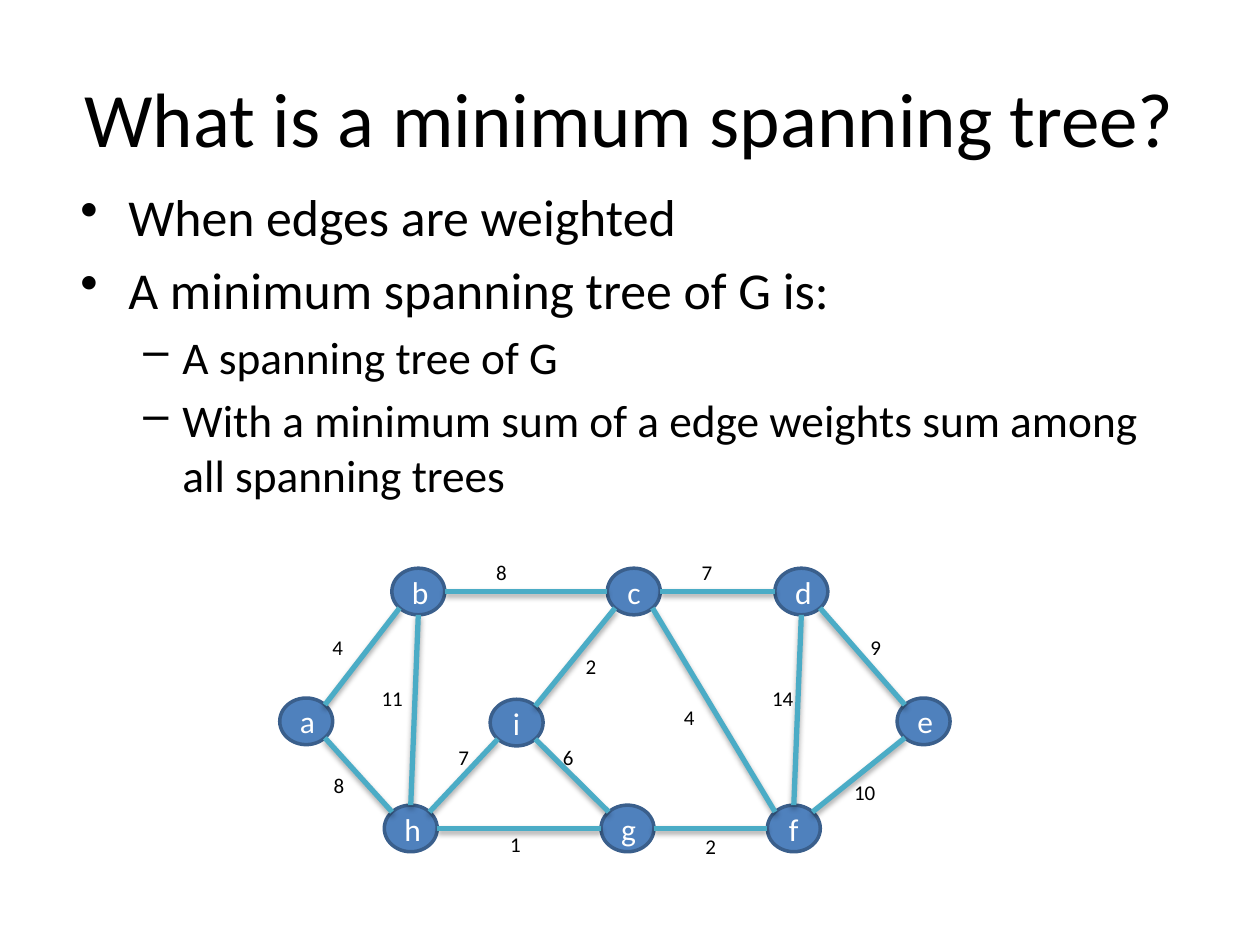
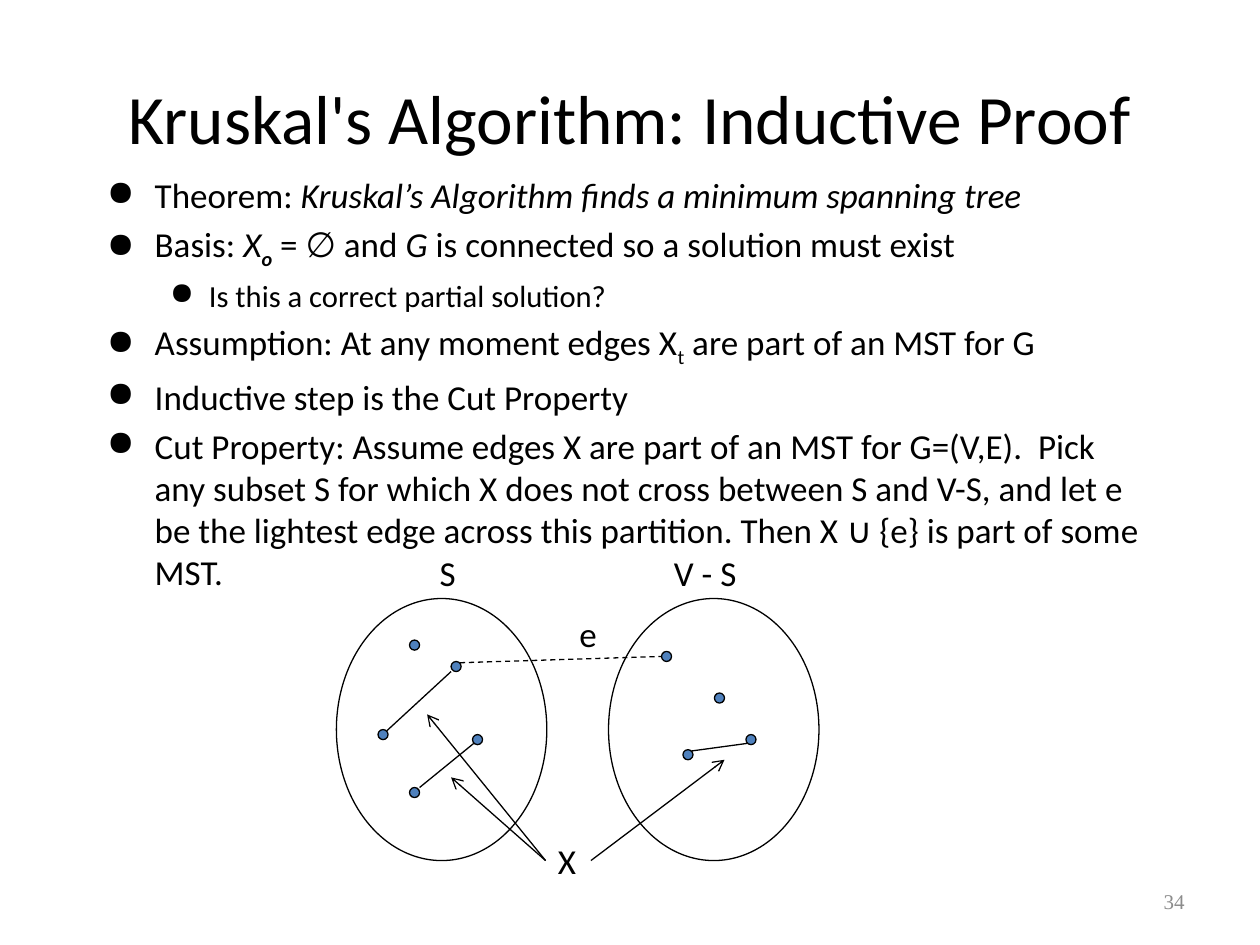
"""Build two slides on minimum spanning trees and Kruskal's algorithm."""
import math

import pptx
import pptx.dml.color
import pptx.enum.dml
import pptx.enum.shapes
import pptx.enum.text
import pptx.oxml
import pptx.oxml.ns
import pptx.util

Inches = pptx.util.Inches
Pt = pptx.util.Pt
RGBColor = pptx.dml.color.RGBColor
ALIGN = pptx.enum.text.PP_ALIGN
ANCHOR = pptx.enum.text.MSO_ANCHOR
OVAL = pptx.enum.shapes.MSO_SHAPE.OVAL

BLACK = RGBColor(0x00, 0x00, 0x00)
WHITE = RGBColor(0xFF, 0xFF, 0xFF)
GRAY = RGBColor(0x8C, 0x8C, 0x8C)
BLUE = RGBColor(0x4F, 0x81, 0xBD)
NAVY = RGBColor(0x3A, 0x5F, 0x8C)
TEAL = RGBColor(0x4B, 0xAC, 0xC6)

FONT = "Calibri"
NUMBER_FONT = "Times New Roman"
TITLE_BOX = (0.5, 0.3, 9, 1.25)
NUMBER_BOX = (7.17, 6.95, 2.33, 0.4)
INDENTS = [(0.38, -0.38), (0.81, -0.31)]

NODE_W, NODE_H = 0.42, 0.37
NODES = {
    "a": (0, 1.03), "b": (0.89, 0), "h": (0.83, 1.88),
    "i": (1.67, 1.04), "c": (2.6, 0), "g": (2.55, 1.88),
    "d": (3.93, 0), "e": (4.9, 1.03), "f": (3.87, 1.88),
}
WEIGHTED_EDGES = [
    ("ab", "4", 0.32, 0.48), ("bc", "8", 1.62, -0.12),
    ("cd", "7", 3.25, -0.12), ("de", "9", 4.59, 0.48),
    ("ef", "10", 4.46, 1.63), ("gf", "2", 3.28, 2.06),
    ("gh", "1", 1.73, 2.04), ("ah", "8", 0.33, 1.57),
    ("bh", "11", 0.71, 0.88), ("ih", "7", 1.32, 1.35),
    ("ig", "6", 2.15, 1.35), ("ci", "2", 2.33, 0.63),
    ("cf", "4", 3.11, 1.03), ("df", "14", 3.81, 0.88),
]

TREE_POINTS = [
    (0, [("When edges are weighted", "")]),
    (0, [("A minimum spanning tree of G is:", "")]),
    (1, [("A spanning tree of G", "")]),
    (1, [("With a minimum sum of a edge weights sum among all spanning trees", "")]),
]
PROOF_POINTS = [
    (0, [("Theorem: ", ""),
         ("Kruskal’s Algorithm finds a minimum spanning tree", "italic")]),
    (0, [("Basis: ", ""), ("X", "italic"), ("o", "bold italic sub"),
         (" = ∅ and ", ""), ("G", "italic"),
         (" is connected so a solution must exist", "")]),
    (1, [("Is this a correct partial solution?", "")]),
    (0, [("Assumption: At any moment edges X", ""), ("t", "sub"),
         (" are part of an MST for G", "")]),
    (0, [("Inductive step is the Cut Property", "")]),
    (0, [("Cut Property: Assume edges X are part of an MST for G=(V,E).  Pick any "
          "subset S for which X does not cross between S and V-S, and let e be the "
          "lightest edge across this partition. Then X ∪ {e} is part of some MST.", "")]),
]

SET_W, SET_H, DOT = 1.67, 2.08, 0.08
S_DOTS = [(0.58, 0.33), (0.33, 1.04), (0.91, 0.5), (0.58, 1.5), (1.08, 1.08)]
S_EDGES = [(0.4, 1.05, 0.91, 0.58), (1.09, 1.15, 0.66, 1.5)]
REST_DOTS = [(0.42, 0.42), (0.59, 1.2), (0.84, 0.75), (1.09, 1.08)]
REST_EDGES = [(0.66, 1.21, 1.1, 1.15)]
CUT_LABELS = [("S", 0.72, -0.42, 0.36), ("V - S", 2.58, -0.42, 0.8),
              ("X", 1.66, 1.86, 0.41), ("e", 1.83, 0.06, 0.33)]
X_ARROWS = [(2.02, 2.08, 3.08, 1.28), (1.66, 2.08, 0.91, 1.42),
            (1.66, 2.08, 0.72, 0.92)]


def add_xml(parent, xml):
    """Append a DrawingML fragment to an element and return it."""
    head, sep, tail = xml.partition(" " if " " in xml else "/>")
    element = pptx.oxml.parse_xml(
        f"{head} {pptx.oxml.ns.nsdecls('a')}{sep}{tail}")
    parent.append(element)
    return element


def add_run(p, text, size, color=BLACK, font=FONT, style=""):
    """Add one styled run to a paragraph."""
    r = p.add_run()
    r.text = text
    r.font.size, r.font.name = Pt(size), font
    r.font.color.rgb = color
    r.font.bold = "bold" in style
    r.font.italic = "italic" in style
    if "sub" in style:
        r.font._element.set("baseline", "-25000")


def add_text(s, box, text, size, color=BLACK, font=FONT, align=ALIGN.LEFT,
             anchor=ANCHOR.TOP, wrap=True):
    """Add a text box holding a single run."""
    tf = s.shapes.add_textbox(*map(Inches, box)).text_frame
    tf.word_wrap, tf.vertical_anchor = wrap, anchor
    p = tf.paragraphs[0]
    p.alignment = align
    add_run(p, text, size, color, font)


def add_oval(s, box, fill, line, width):
    """Add a flat ellipse, unfilled when fill is None."""
    sp = s.shapes.add_shape(OVAL, *map(Inches, box))
    sp.shadow.inherit = False
    if fill is None:
        sp.fill.background()
    else:
        sp.fill.solid()
        sp.fill.fore_color.rgb = fill
    sp.line.color.rgb, sp.line.width = line, Pt(width)
    return sp


def add_line(s, ends, color=BLACK, width=0.75, dashed=False, arrow=False, shadow=False):
    """Add a straight connector between two points."""
    cx = s.shapes.add_connector(
        pptx.enum.shapes.MSO_CONNECTOR.STRAIGHT, *map(Inches, ends))
    cx.line.color.rgb, cx.line.width = color, Pt(width)
    if dashed:
        cx.line.dash_style = pptx.enum.dml.MSO_LINE.DASH
    if arrow:
        add_xml(cx.line._get_or_add_ln(), '<a:tailEnd type="arrow"/>')
    effects = add_xml(cx._element.spPr, "<a:effectLst/>")
    if shadow:
        add_xml(effects, '<a:outerShdw blurRad="40000" dist="23000" dir="5400000" '
                'rotWithShape="0"><a:srgbClr val="000000"><a:alpha val="35000"/>'
                '</a:srgbClr></a:outerShdw>')


def shift(left, top, ends):
    """Move a pair of end points by the given offset."""
    x1, y1, x2, y2 = ends
    return left + x1, top + y1, left + x2, top + y2


def add_title(s, text, size):
    """Add the centred slide title."""
    add_text(s, TITLE_BOX, text, size, align=ALIGN.CENTER, anchor=ANCHOR.MIDDLE)


def add_bullets(s, box, points, sizes, bullets):
    """Add a two-level bulleted list."""
    tf = s.shapes.add_textbox(*map(Inches, box)).text_frame
    tf.word_wrap = True
    for n, (level, runs) in enumerate(points):
        p = tf.add_paragraph() if n else tf.paragraphs[0]
        p.level = level
        p.space_before = Pt(0.2 * sizes[level])
        pPr = p._p.get_or_add_pPr()
        for name, value in zip(("marL", "indent"), INDENTS[level]):
            pPr.set(name, str(Inches(value)))
        add_xml(pPr, f'<a:buChar char="{bullets[level]}"/>')
        for text, style in runs:
            add_run(p, text, sizes[level], style=style)


def rim_point(node, angle):
    """Return the point of a node's rim nearest an angle, in steps of 45 degrees."""
    x, y = NODES[node]
    step = round(angle / (math.pi / 4)) * math.pi / 4
    return (x + NODE_W / 2 * (1 + math.cos(step)),
            y + NODE_H / 2 * (1 + math.sin(step)))


def add_graph(s, left, top):
    """Draw the weighted graph from its top left corner."""
    for name, (x, y) in NODES.items():
        sp = add_oval(s, (left + x, top + y, NODE_W, NODE_H), BLUE, NAVY, 2)
        tf = sp.text_frame
        tf.vertical_anchor = ANCHOR.MIDDLE
        p = tf.paragraphs[0]
        p.alignment = ALIGN.CENTER
        add_run(p, name, 18, WHITE)
    for (start, end), weight, x, y in WEIGHTED_EDGES:
        (x1, y1), (x2, y2) = NODES[start], NODES[end]
        angle = math.atan2(y2 - y1, x2 - x1)
        ends = rim_point(start, angle) + rim_point(end, angle + math.pi)
        add_line(s, shift(left, top, ends), TEAL, 3, shadow=True)
        width = 0.33 if len(weight) == 1 else 0.46
        add_text(s, (left + x, top + y, width, 0.3), weight, 12)


def add_vertex_set(s, left, top, dots, edges):
    """Draw one side of the cut with its vertices and edges."""
    add_oval(s, (left, top, SET_W, SET_H), None, BLACK, 0.75)
    for x, y in dots:
        add_oval(s, (left + x, top + y, DOT, DOT), BLUE, BLACK, 0.75)
    for ends in edges:
        add_line(s, shift(left, top, ends))


def add_cut(s, left, top):
    """Draw both sides of the cut, the crossing edge and the labels."""
    add_vertex_set(s, left, top, S_DOTS, S_EDGES)
    add_vertex_set(s, left + 2.16, top, REST_DOTS, REST_EDGES)
    add_line(s, shift(left, top, (0.98, 0.51, 2.58, 0.46)), dashed=True)
    for ends in X_ARROWS:
        add_line(s, shift(left, top, ends), arrow=True)
    for text, x, y, width in CUT_LABELS:
        add_text(s, (left + x, top + y, width, 0.44), text, 20, wrap=False)


def build_tree_slide(s):
    """Fill the slide that defines a minimum spanning tree."""
    add_title(s, "What is a minimum spanning tree?", 44)
    add_bullets(s, (0.54, 1.42, 9, 2.58), TREE_POINTS, (29.6, 25.9), "•–")
    add_graph(s, 2.22, 4.51)


def build_proof_slide(s):
    """Fill the slide with the inductive proof."""
    add_title(s, "Kruskal's Algorithm: Inductive Proof", 39.6)
    add_bullets(s, (0.75, 1.33, 8.5, 2.99), PROOF_POINTS, (20, 17.5), "●●")
    add_text(s, NUMBER_BOX, "34", 12, GRAY, NUMBER_FONT, ALIGN.RIGHT, ANCHOR.MIDDLE)
    add_cut(s, 2.67, 4.75)


def main():
    """Build and save the presentation."""
    prs = pptx.Presentation()
    prs.slide_width, prs.slide_height = Inches(10), Inches(7.5)
    for build in (build_tree_slide, build_proof_slide):
        build(prs.slides.add_slide(prs.slide_layouts[6]))
    prs.save("out.pptx")


if __name__ == "__main__":
    main()
